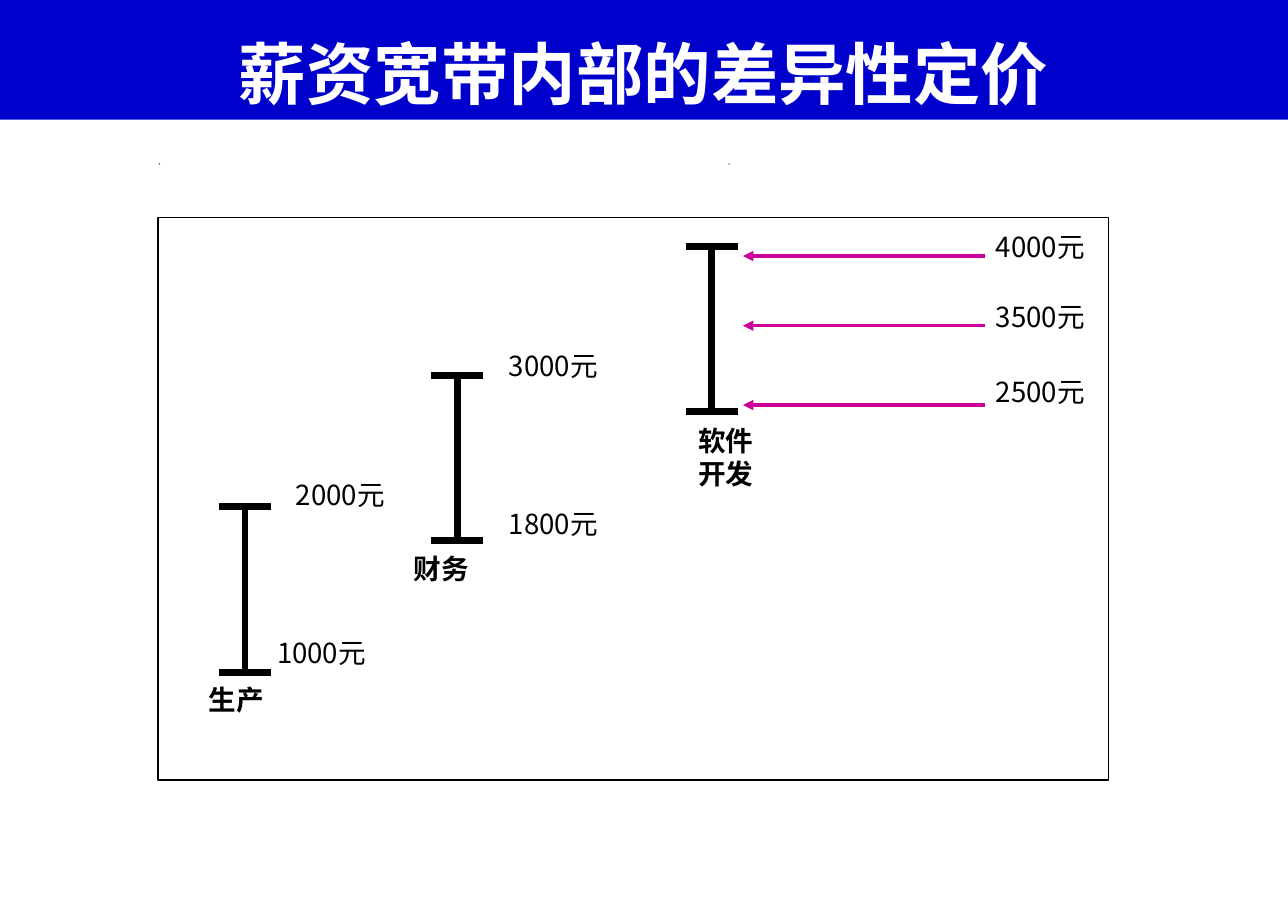
from dataclasses import dataclass

from lxml import etree
from pptx import Presentation
from pptx.dml.color import RGBColor
from pptx.enum.shapes import MSO_CONNECTOR, MSO_SHAPE
from pptx.enum.text import MSO_ANCHOR, MSO_AUTO_SIZE, PP_ALIGN
from pptx.oxml.ns import qn
from pptx.util import Pt

STRAIGHT = MSO_CONNECTOR.STRAIGHT
RECTANGLE = MSO_SHAPE.RECTANGLE
BOTTOM = MSO_ANCHOR.BOTTOM
TOP = MSO_ANCHOR.TOP
NO_AUTOFIT = MSO_AUTO_SIZE.NONE
CENTER = PP_ALIGN.CENTER
JUSTIFY = PP_ALIGN.JUSTIFY

TITLE_ONLY = 5
BAND_HEIGHT = 108
CAP_HALF_WIDTH = 16.8
ARROW_START, ARROW_END = 642.2, 484.6


@dataclass(frozen=True)
class Theme:
    banner: RGBColor = RGBColor(0x00, 0x00, 0xCC)
    paper: RGBColor = RGBColor(0xFF, 0xFF, 0xFF)
    ink: RGBColor = RGBColor(0x00, 0x00, 0x00)
    accent: RGBColor = RGBColor(0xCC, 0x00, 0x99)
    sans: str = "Noto Sans CJK SC"
    serif: str = "Times New Roman"
    title_size: int = 44
    body_size: int = 18
    frame_width: float = 1
    band_width: float = 4.5
    arrow_width: float = 2.25


class Page:
    def __init__(self, deck, theme):
        self.theme = theme
        self.slide = deck.slides.add_slide(deck.slide_layouts[TITLE_ONLY])

    def set_text(self, shape, text, size, color, font, bold, align, anchor, insets):
        frame = shape.text_frame
        frame.text = text
        frame.word_wrap = True
        frame.auto_size = NO_AUTOFIT
        frame.vertical_anchor = anchor
        frame.margin_left = frame.margin_right = Pt(insets[0])
        frame.margin_top = frame.margin_bottom = Pt(insets[1])
        for para in frame.paragraphs:
            para.alignment = align
            for span in para.runs:
                span.font.size = Pt(size)
                span.font.bold = bold
                span.font.color.rgb = color
                span.font.name = font
                if font == self.theme.sans:
                    properties = span.font._element
                    etree.SubElement(properties, qn("a:ea"), typeface=font)

    def title(self, text, left, top, width, height):
        shape = self.slide.shapes.title
        shape.left, shape.top = Pt(left), Pt(top)
        shape.width, shape.height = Pt(width), Pt(height)
        shape.fill.solid()
        shape.fill.fore_color.rgb = self.theme.banner
        self.set_text(shape, text, self.theme.title_size, self.theme.paper,
                      self.theme.sans, True, CENTER, BOTTOM, (7.9, 4.3))

    def rectangle(self, left, top, width, height, fill, outline=None):
        shape = self.slide.shapes.add_shape(
            RECTANGLE, Pt(left), Pt(top), Pt(width), Pt(height))
        shape.shadow.inherit = False
        shape.fill.solid()
        shape.fill.fore_color.rgb = fill
        if outline is None:
            shape.line.fill.background()
        else:
            shape.line.color.rgb = outline
            shape.line.width = Pt(self.theme.frame_width)

    def line(self, start, end, color, width):
        connector = self.slide.shapes.add_connector(
            STRAIGHT, *(Pt(value) for value in (*start, *end)))
        connector.line.color.rgb = color
        connector.line.width = Pt(width)
        etree.SubElement(connector._element.spPr, qn("a:effectLst"))
        return connector

    def arrow(self, y):
        connector = self.line((ARROW_START, y), (ARROW_END, y),
                              self.theme.accent, self.theme.arrow_width)
        outline = connector._element.spPr.find(qn("a:ln"))
        etree.SubElement(outline, qn("a:tailEnd"), type="triangle")

    def text(self, text, left, top, width, height, font, bold=False, align=JUSTIFY):
        box = self.slide.shapes.add_textbox(
            Pt(left), Pt(top), Pt(width), Pt(height))
        self.set_text(box, text, self.theme.body_size, self.theme.ink,
                      font, bold, align, TOP, (4.3, 2.2))

    def pay_band(self, x, top):
        bottom = top + BAND_HEIGHT
        left, right = x - CAP_HALF_WIDTH, x + CAP_HALF_WIDTH
        for start, end in (
            ((x, top), (x, bottom)),
            ((left, top), (right, top)),
            ((left, bottom), (right, bottom)),
        ):
            self.line(start, end, self.theme.ink, self.theme.band_width)

    def job(self, name, left, top, align):
        self.text(name, left, top, 61, 58, self.theme.serif, True, align)

    def amount(self, value, left, top, width, height):
        self.text(f"{value}元", left, top, width, height, self.theme.sans)


def main():
    theme = Theme()
    deck = Presentation()
    deck.slide_width, deck.slide_height = Pt(840), Pt(600)
    page = Page(deck, theme)

    page.title("薪资宽带内部的差异性定价", 0, 0, 840, 78)
    for dot_left in (103.7, 475.2):
        page.rectangle(dot_left, 106.5, 0.7, 0.7, theme.ink)
    page.rectangle(103, 141.8, 620, 367, theme.paper, theme.ink)

    for x, top in ((159.8, 330.5), (298.1, 244.8), (464.2, 160.6)):
        page.pay_band(x, top)

    for name, left, top, align in (
        ("生产", 131.8, 443.5, JUSTIFY),
        ("财务", 265.7, 357.8, JUSTIFY),
        ("软件\n开发", 442.8, 274.3, CENTER),
    ):
        page.job(name, left, top, align)

    for y in (167, 212.4, 264.2):
        page.arrow(y)

    for value, left, top, width, height in (
        (4000, 645.1, 147.6, 71.3, 33),
        (3500, 645.1, 193.7, 81.4, 40),
        (2500, 645.1, 242.6, 81.4, 42),
        (3000, 327.6, 225.4, 100.8, 86),
        (1800, 327.6, 328.3, 100.8, 62),
        (2000, 188.6, 309.6, 70.6, 55),
        (1000, 176.4, 412.6, 100.8, 56),
    ):
        page.amount(value, left, top, width, height)

    deck.save("out.pptx")


if __name__ == "__main__":
    main()
